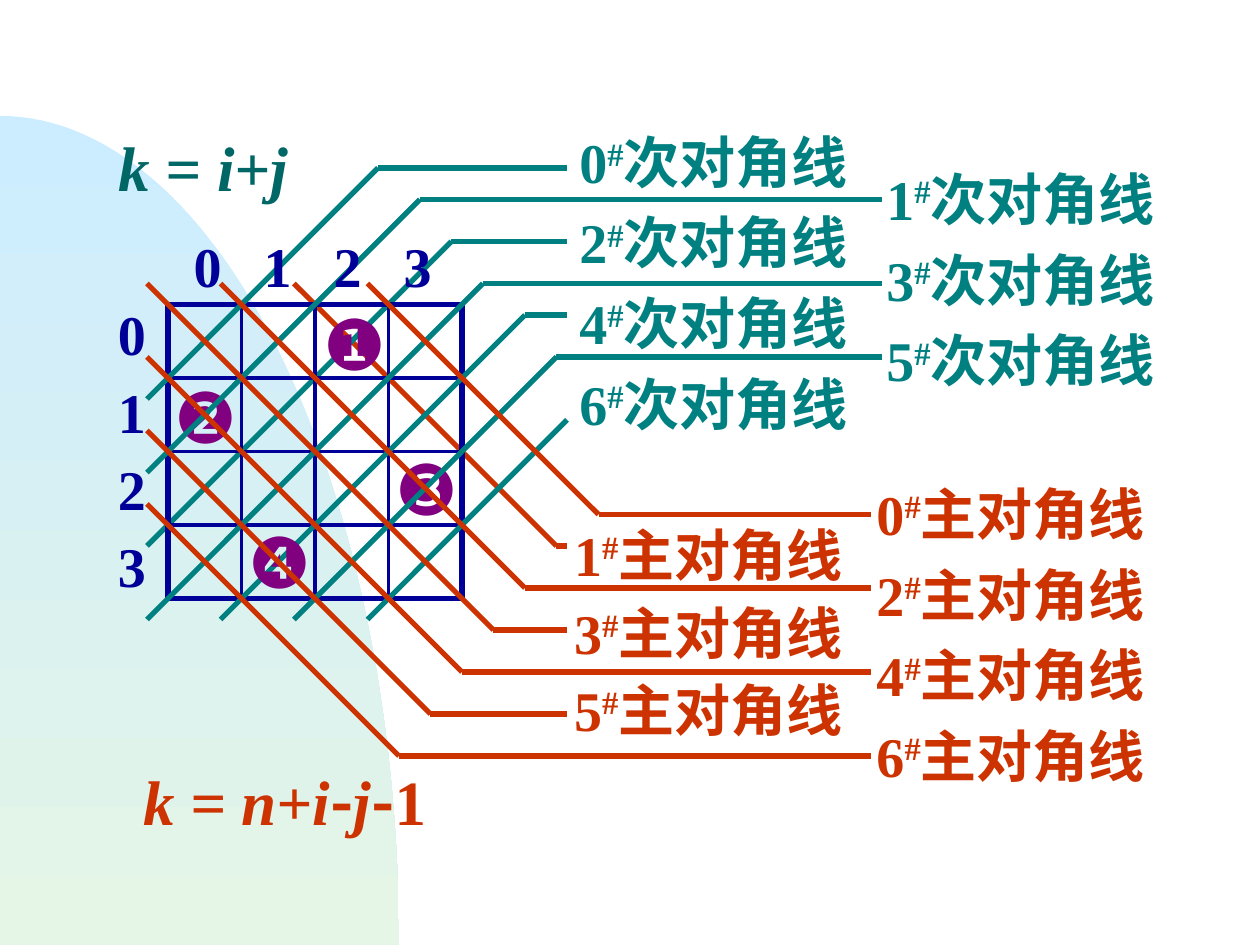
import math
from dataclasses import dataclass

import pptx
import pptx.dml.color
import pptx.enum.dml
import pptx.enum.shapes
import pptx.enum.text
import pptx.oxml.ns
import pptx.util
from lxml import etree

qn = pptx.oxml.ns.qn
CELL = 7


@dataclass(frozen=True)
class Theme:
    grid: str = "000099"
    secondary: str = "008080"
    primary: str = "CC3300"
    formula: str = "006666"
    queen: str = "800080"
    backdrop_top: str = "CCECFF"
    backdrop_bottom: str = "E5F5E6"
    serif: str = "Times New Roman"
    sans: str = "Arial"
    chinese: str = "Noto Sans CJK SC"
    label_size: int = 32
    formula_size: int = 36
    queen_size: int = 40
    thick: float = 3
    thin: float = 2.25


def rgb(value):
    return pptx.dml.color.RGBColor.from_string(value)


def add_text(paragraph, text, *, font, size, color, bold=False, italic=False,
             raised=False, east_asian=None):
    run = paragraph.add_run()
    run.text = text
    run.font.name = font
    run.font.size = pptx.util.Pt(size)
    run.font.bold = bold
    run.font.italic = italic
    run.font.color.rgb = rgb(color)
    properties = run.font._element
    if raised:
        properties.set("baseline", "30000")
    latin = properties.find(qn("a:latin"))
    latin.addnext(etree.Element(qn("a:ea"), typeface=east_asian or font))


class Canvas:
    """Places elements on a grid of 120 columns by 90 rows."""

    def __init__(self, slide, theme, unit):
        self.slide, self.theme, self.unit = slide, theme, unit

    def at(self, *cells):
        return [round(cell * self.unit) for cell in cells]

    def line(self, start, end, color, width):
        line = self.slide.shapes.add_connector(
            pptx.enum.shapes.MSO_CONNECTOR.STRAIGHT, *self.at(*start, *end))
        line.line.color.rgb = rgb(color)
        line.line.width = pptx.util.Pt(width)
        etree.SubElement(line._element.spPr, qn("a:effectLst"))

    def backdrop(self, top, radius, bottom, steps=60):
        arc = [(radius * math.sin(angle),
                bottom - (bottom - top) * math.cos(angle))
               for angle in (math.pi / 2 * i / steps for i in range(steps + 1))]
        builder = self.slide.shapes.build_freeform(*self.at(0, bottom))
        builder.add_line_segments([self.at(*point) for point in arc], close=True)
        dome = builder.convert_to_shape()
        dome.shadow.inherit = False
        dome.line.fill.background()
        dome.fill.gradient()
        dome.fill.gradient_angle = 270
        colors = (self.theme.backdrop_top, self.theme.backdrop_bottom)
        for position, (stop, color) in enumerate(zip(dome.fill.gradient_stops, colors)):
            stop.position = position
            stop.color.rgb = rgb(color)

    def text(self, box, paragraphs, spacing=None, wrap=False, tab=None, **style):
        """Each paragraph is a list of (text, format changes) pairs."""
        frame = self.slide.shapes.add_textbox(*self.at(*box)).text_frame
        frame.word_wrap = wrap
        frame.auto_size = pptx.enum.text.MSO_AUTO_SIZE.SHAPE_TO_FIT_TEXT
        for index, parts in enumerate(paragraphs):
            paragraph = frame.add_paragraph() if index else frame.paragraphs[0]
            if spacing:
                paragraph.line_spacing = spacing
            if tab:
                stops = etree.SubElement(paragraph._p.get_or_add_pPr(), qn("a:tabLst"))
                for stop in range(1, 4):
                    etree.SubElement(stops, qn("a:tab"),
                                     pos=str(self.at(tab * stop)[0]), algn="l")
            for text, changes in parts:
                add_text(paragraph, text, **{**style, **changes})

    def diagonal_names(self, box, numbers, kind, color, spacing, wrap=False):
        names = [[(str(k), {}), ("#", {"raised": True}), (kind, {})]
                 for k in numbers]
        self.text(box, names, spacing, wrap, font=self.theme.serif, bold=True,
                  size=self.theme.label_size, color=color,
                  east_asian=self.theme.chinese)

    def queen(self, digit, left, top):
        self.text((left, top, 8.4, 9.24), [[(digit, {})]], font=self.theme.sans,
                  size=self.theme.queen_size, color=self.theme.queen)

    def bent_line(self, tail, elbow, end, color):
        self.line(tail, elbow, color, self.theme.thick)
        if end:
            self.line(elbow, (end, elbow[1]), color, self.theme.thick)

    def secondary(self, k):
        row = (16, 19, 23, 27, 30, 34, 40)[k]
        tail = (14 + CELL * max(k - 3, 0), 38 + CELL * min(k, 3))
        end = None if k == 6 else (54, 84)[k % 2]
        self.bent_line(tail, (52 + CELL * k - row, row), end, self.theme.secondary)

    def primary(self, k):
        row = (49, 52, 56, 60, 64, 68, 72)[k]
        tail = (35 - CELL * min(k, 3), 27 + CELL * max(k - 3, 0))
        self.bent_line(tail, (8 - CELL * k + row, row), (83, 54)[k % 2],
                       self.theme.primary)

    def board(self, left, top):
        size = 4 * CELL
        for i in range(5):
            width = self.theme.thick if i in (0, 4) else self.theme.thin
            x, y = left + i * CELL, top + i * CELL
            self.line((left, y), (left + size, y), self.theme.grid, width)
            self.line((x, top), (x, top + size), self.theme.grid, width)


def main():
    deck = pptx.Presentation()
    deck.slide_width, deck.slide_height = pptx.util.Inches(10), pptx.util.Inches(7.5)
    theme = Theme()
    canvas = Canvas(deck.slides.add_slide(deck.slide_layouts[6]), theme,
                    deck.slide_width / 120)

    # Backdrop, and the two diagonals that run behind the board
    canvas.backdrop(top=11.04, radius=38, bottom=90)
    canvas.primary(1)
    canvas.secondary(2)

    # Board with its queens, and the diagonals that cross it
    canvas.board(16, 29)
    canvas.queen("❶", 29.6, 28)
    canvas.queen("❷", 15.45, 35)
    canvas.queen("❸", 36.5, 41.8)
    for k in (0, 1, 3, 4, 5, 6):
        canvas.secondary(k)
    for k in (0, 2, 4, 6):
        canvas.primary(k)
    canvas.queen("❹", 22.45, 48.8)
    for k in (3, 5):
        canvas.primary(k)

    # Names of the diagonals
    for box, numbers, wrap in (((54, 10.25, 30.6, 31.9), (0, 2, 4, 6), True),
                               ((83.25, 13.8, 29.3, 24.2), (1, 3, 5), False)):
        canvas.diagonal_names(box, numbers, "次对角线", theme.secondary, 1.2, wrap)
    for box, numbers, spacing in (((82.3, 43.8, 29.3, 31.9), (0, 2, 4, 6), 1.2),
                                  ((53.5, 48.05, 29.3, 23.3), (1, 3, 5), 1.15)):
        canvas.diagonal_names(box, numbers, "主对角线", theme.primary, spacing)

    # Column and row numbers
    index_style = dict(font=theme.serif, size=theme.label_size, color=theme.grid,
                       bold=True)
    canvas.text((17.25, 21.45, 27.7, 7.7), [[("0\t1\t2\t3", {})]], wrap=True,
                tab=6.67, **index_style)
    canvas.text((10.05, 27, 5, 30.7), [[(str(row), {})] for row in range(4)],
                spacing=1.15, **index_style)

    # Formulas
    formula_style = dict(font=theme.serif, size=theme.formula_size, bold=True,
                         italic=True)
    minus = ("-", {"font": theme.chinese, "italic": False})
    canvas.text((10.1, 11.65, 18.6, 8.4), [[("k = i+j", {})]],
                color=theme.formula, **formula_style)
    canvas.text((12.45, 72, 32.2, 8.4),
                [[("k = n+i", {}), minus, ("j", {}), minus, ("1", {"italic": False})]],
                color=theme.primary, **formula_style)

    deck.save("out.pptx")


if __name__ == "__main__":
    main()
